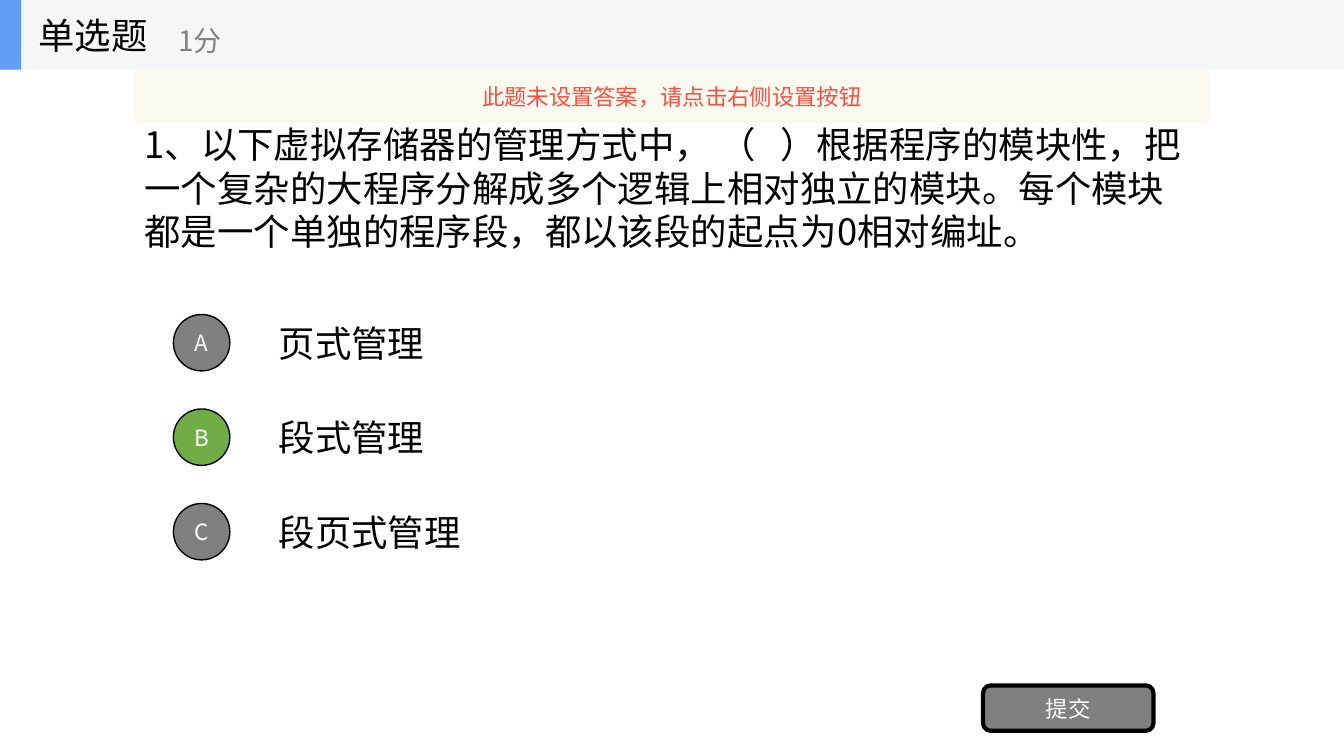
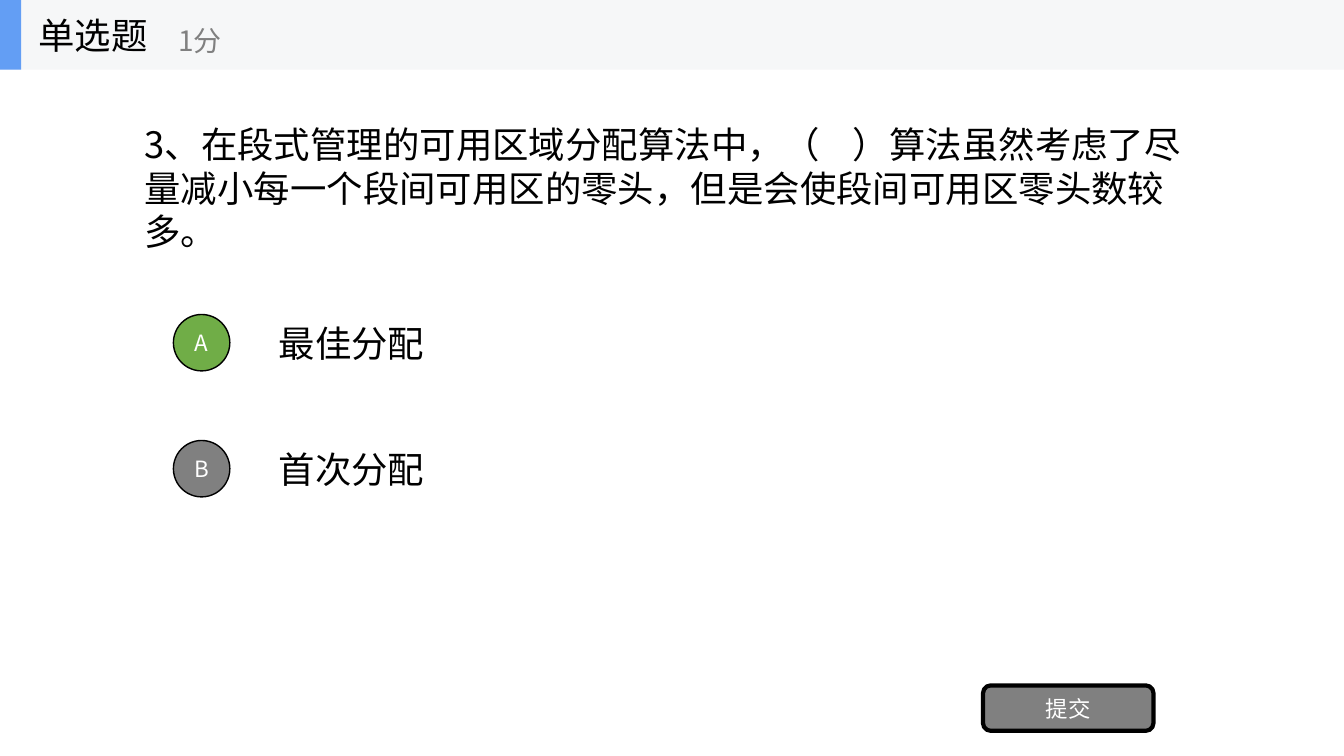
from dataclasses import dataclass

from lxml.etree import SubElement
from pptx import Presentation
from pptx.dml.color import RGBColor as Color
from pptx.enum.shapes import MSO_SHAPE as Preset
from pptx.enum.text import MSO_ANCHOR as Anchor, MSO_AUTO_SIZE as AutoSize, PP_ALIGN as Align
from pptx.oxml.ns import qn
from pptx.util import Inches, Pt


@dataclass(frozen=True)
class Theme:
    font: str = "Noto Sans CJK SC"
    ink: str = "000000"
    white: str = "FFFFFF"
    muted: str = "808080"
    correct: str = "70AD47"
    band: str = "F6F7F8"
    accent: str = "639EF4"
    notice: str = "FBFAEF"
    warning: str = "F84F41"
    large: int = 26
    medium: int = 20
    small: int = 16


THEME = Theme()
WIDTH, HEIGHT = 13.33, 7.5
MARGIN = WIDTH / 10
CONTENT_WIDTH = WIDTH - 2 * MARGIN
BAND_HEIGHT = 0.69
ACCENT_WIDTH = 0.21
OPTIONS_TOP, OPTION_HEIGHT = 3.05, 0.7
OPTION_LEFT = 2 * MARGIN
BADGE_LEFT, BADGE_SIZE = 1.72, 0.56

HEADING, SCORE, SUBMIT = "单选题", "1分", "提交"
QUESTIONS = [
    {
        "text": "1、以下虚拟存储器的管理方式中， （   ）根据程序的模块性，把一个复杂的大程序分解成多个逻辑上相对独立的模块。每个模块都是一个单独的程序段，都以该段的起点为0相对编址。",
        "options": ["页式管理", "段式管理", "段页式管理"],
        "answer": "B",
        "notice": "此题未设置答案，请点击右侧设置按钮",
    },
    {
        "text": "3、在段式管理的可用区域分配算法中，（    ）算法虽然考虑了尽量减小每一个段间可用区的零头，但是会使段间可用区零头数较多。",
        "options": ["最佳分配", "首次分配"],
        "answer": "A",
        "notice": None,
    },
]


def place(shape, left, top, width, height):
    shape.left, shape.top = Inches(left), Inches(top)
    shape.width, shape.height = Inches(width), Inches(height)


def write(shape, text, size, color, align=Align.LEFT):
    frame = shape.text_frame
    frame.word_wrap = True
    frame.auto_size = AutoSize.NONE
    frame.vertical_anchor = Anchor.MIDDLE
    paragraph = frame.paragraphs[0]
    paragraph.alignment = align
    paragraph.space_before = Pt(0)
    run = paragraph.add_run()
    run.text = text
    run.font.size = Pt(size)
    run.font.color.rgb = Color.from_string(color)
    run.font.name = THEME.font
    SubElement(run.font._element, qn("a:ea"), typeface=THEME.font)


def add_label(slide, box, text, size, color):
    label = slide.shapes.add_textbox(*map(Inches, box))
    write(label, text, size, color)


def add_block(slide, preset, box, fill, outline=0):
    block = slide.shapes.add_shape(preset, *map(Inches, box))
    block.shadow.inherit = False
    block.fill.solid()
    block.fill.fore_color.rgb = Color.from_string(fill)
    if outline:
        block.line.color.rgb = Color.from_string(THEME.ink)
        block.line.width = Pt(outline)
    else:
        block.line.fill.background()
    return block


def add_button(slide, preset, box, fill, outline, text):
    button = add_block(slide, preset, box, fill, outline)
    frame = button.text_frame
    frame.margin_left = frame.margin_right = frame.margin_top = frame.margin_bottom = 0
    write(button, text, THEME.small, THEME.white, Align.CENTER)


def prepare_layout(layout, slide):
    title, body = layout.placeholders[0], layout.placeholders[1]
    place(title, 0.28, 0, 2.08, BAND_HEIGHT)
    place(body, MARGIN, BAND_HEIGHT, CONTENT_WIDTH, 2.34)
    parts = [(WIDTH, THEME.band), (ACCENT_WIDTH, THEME.accent)]
    for index, (width, fill) in enumerate(parts):
        part = add_block(slide, Preset.RECTANGLE, (0, 0, width, BAND_HEIGHT), fill)
        part.element.nvSpPr.cNvPr.set("id", str(100 + index))
        layout.shapes.element.insert(2 + index, part.element)


def add_notice(slide, text):
    box = (MARGIN, BAND_HEIGHT, CONTENT_WIDTH, 0.53)
    notice = add_block(slide, Preset.RECTANGLE, box, THEME.notice)
    fill_color = notice.element.spPr.find(qn("a:solidFill"))[0]
    SubElement(fill_color, qn("a:alpha"), val="90000")
    write(notice, text, THEME.small, THEME.warning, Align.CENTER)


def add_options(slide, options, answer):
    pitch = HEIGHT / (2 * len(options) + 2)
    for index, (letter, option) in enumerate(zip("ABCD", options)):
        top = OPTIONS_TOP + index * pitch
        box = (OPTION_LEFT, top, WIDTH - MARGIN - OPTION_LEFT, OPTION_HEIGHT)
        add_label(slide, box, option, THEME.large, THEME.ink)
        badge_top = top + (OPTION_HEIGHT - BADGE_SIZE) / 2
        badge = (BADGE_LEFT, badge_top, BADGE_SIZE, BADGE_SIZE)
        fill = THEME.correct if letter == answer else THEME.muted
        add_button(slide, Preset.OVAL, badge, fill, 1, letter)


def fill_question(slide, question):
    write(slide.shapes.title, HEADING, THEME.large, THEME.ink)
    body = slide.placeholders[1]
    properties = body.text_frame.paragraphs[0]._p.get_or_add_pPr()
    properties.set("marL", "0")
    properties.set("indent", "0")
    SubElement(properties, qn("a:buNone"))
    write(body, question["text"], THEME.large, THEME.ink)
    add_label(slide, (1.67, 0.12, 2.5, 0.56), SCORE, THEME.medium, THEME.muted)
    add_options(slide, question["options"], question["answer"])
    submit = (9.75, 6.8, 1.69, 0.45)
    add_button(slide, Preset.ROUNDED_RECTANGLE, submit, THEME.muted, 3, SUBMIT)
    if question["notice"]:
        add_notice(slide, question["notice"])


def main():
    presentation = Presentation()
    presentation.slide_width, presentation.slide_height = Inches(WIDTH), Inches(HEIGHT)
    layout = presentation.slide_layouts[1]
    slides = [presentation.slides.add_slide(layout) for _ in QUESTIONS]
    prepare_layout(layout, slides[0])
    for slide, question in zip(slides, QUESTIONS):
        fill_question(slide, question)
    presentation.save("out.pptx")


if __name__ == "__main__":
    main()
